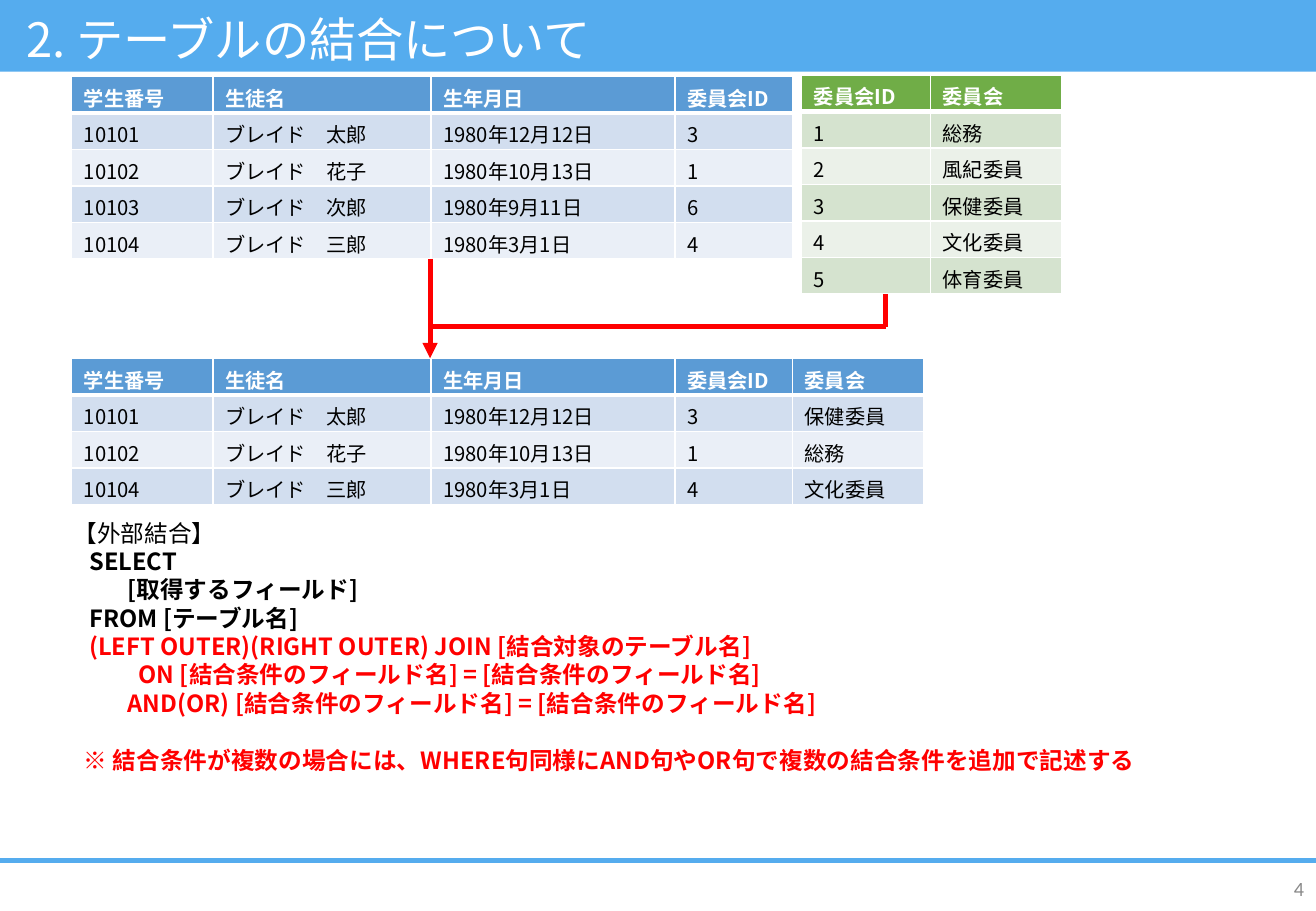
from lxml import etree
from pptx import Presentation
from pptx import util as u
from pptx.dml.color import RGBColor
from pptx.enum import shapes, text
from pptx.oxml.ns import qn

Cm, Pt = u.Cm, u.Pt
JP = "Noto Sans CJK JP"
SKY, RED, BLACK, WHITE = "55ACEE", "FF0000", "000000", "FFFFFF"
BLUE_FILLS = ("5B9BD5", "D2DEEF", "EAEFF7")  # header, odd rows, even rows
GREEN_FILLS = ("70AD47", "D5E3CF", "EBF1E9")
SLIDE_W, SLIDE_H = 27.51, 19.05
ROW_H = 0.76
LINE_PT = 16.8

TITLE = "2. テーブルの結合について"
PAGE = "4"
STUDENT_HEAD = ("学生番号", "生徒名", "生年月日", "委員会ID")
STUDENTS = [
    ("10101", "ブレイド　太郎", "1980年12月12日", "3"),
    ("10102", "ブレイド　花子", "1980年10月13日", "1"),
    ("10103", "ブレイド　次郎", "1980年9月11日", "6"),
    ("10104", "ブレイド　三郎", "1980年3月1日", "4"),
]
COMMITTEE_HEAD = ("委員会ID", "委員会")
COMMITTEES = [("1", "総務"), ("2", "風紀委員"), ("3", "保健委員"),
              ("4", "文化委員"), ("5", "体育委員")]
# text, indent in cm, bold, colour, space before in points
SYNTAX = [
    ("【外部結合】", 0.99, False, BLACK, 0),
    ("SELECT", 1.32, True, BLACK, 0),
    ("[取得するフィールド]", 2.12, True, BLACK, 0),
    ("FROM [テーブル名]", 1.32, True, BLACK, 0),
    ("(LEFT OUTER)(RIGHT OUTER) JOIN [結合対象のテーブル名]", 1.32, True, RED, 0),
    ("ON [結合条件のフィールド名] = [結合条件のフィールド名]", 2.35, True, RED, 0),
    ("AND(OR) [結合条件のフィールド名] = [結合条件のフィールド名]", 2.12, True, RED, 0),
    ("※ 結合条件が複数の場合には、WHERE句同様にAND句やOR句で複数の結合条件を追加で記述する",
     1.2, True, RED, LINE_PT),
]
STUDENT_COLS = (2.95, 4.56, 5.1, 2.46)
COMMITTEE_COLS = (2.69, 2.74)
# x1, y1, x2, y2, arrowhead at the end
JOIN_LINES = [(8.99, 5.41, 8.99, 7.49, True),
              (18.52, 6.15, 18.52, 6.83, False),
              (18.52, 6.83, 8.99, 6.83, False)]


def rgb(value):
    return RGBColor.from_string(value)


def add_run(p, words, size, color, bold=False, font=JP):
    r = p.add_run()
    r.text = words
    r.font.size, r.font.bold, r.font.name = Pt(size), bold, font
    r.font.color.rgb = rgb(color)
    etree.SubElement(r.font._element, qn("a:ea")).set("typeface", font)


def add_box(s, x, y, w, h, anchor=text.MSO_ANCHOR.MIDDLE):
    tf = s.shapes.add_textbox(Cm(x), Cm(y), Cm(w), Cm(h)).text_frame
    tf.word_wrap = True
    tf.vertical_anchor = anchor
    return tf


def add_line(s, x1, y1, x2, y2, color, arrow=False):
    line = s.shapes.add_connector(
        shapes.MSO_CONNECTOR.STRAIGHT, Cm(x1), Cm(y1), Cm(x2), Cm(y2))
    line.line.color.rgb = rgb(color)
    line.line.width = Pt(3)
    if arrow:
        etree.SubElement(line.line._get_or_add_ln(), qn("a:tailEnd")).set("type", "triangle")
    etree.SubElement(line._element.spPr, qn("a:effectLst"))


def set_borders(cell, bottom):
    """White 1 pt borders, with the given width below; they precede the fill."""
    tc_pr = cell._tc.get_or_add_tcPr()
    widths = (("a:lnL", 1), ("a:lnR", 1), ("a:lnT", 1), ("a:lnB", bottom))
    for i, (tag, width) in enumerate(widths):
        ln = etree.Element(qn(tag), w=str(Pt(width)))
        fill = etree.SubElement(ln, qn("a:solidFill"))
        etree.SubElement(fill, qn("a:srgbClr")).set("val", WHITE)
        tc_pr.insert(i, ln)


def add_data_table(s, x, y, cols, rows, fills):
    table = s.shapes.add_table(len(rows), len(cols), Cm(x), Cm(y),
                               Cm(sum(cols)), Cm(ROW_H * len(rows))).table
    for col, width in zip(table.columns, cols):
        col.width = Cm(width)
    for i, row in enumerate(rows):
        header = i == 0
        table.rows[i].height = Cm(ROW_H)
        for j, words in enumerate(row):
            cell = table.cell(i, j)
            cell.fill.solid()
            cell.fill.fore_color.rgb = rgb(fills[0] if header else fills[2 - i % 2])
            set_borders(cell, 3 if header else 1)
            add_run(cell.text_frame.paragraphs[0], words, 12,
                    WHITE if header else BLACK, header)


def main():
    prs = Presentation()
    prs.slide_width, prs.slide_height = Cm(SLIDE_W), Cm(SLIDE_H)
    s = prs.slides.add_slide(prs.slide_layouts[6])

    band = s.shapes.add_shape(shapes.MSO_SHAPE.RECTANGLE, 0, 0, Cm(SLIDE_W), Cm(1.5))
    band.shadow.inherit = False
    band.fill.solid()
    band.fill.fore_color.rgb = rgb(SKY)
    band.line.fill.background()
    add_line(s, 0, 18, SLIDE_W, 18, SKY)

    p = add_box(s, 0.3, 0.18, 27.18, 1.24).paragraphs[0]
    p.line_spacing = Pt(33.6)
    add_run(p, TITLE, 28, WHITE)

    p = add_box(s, 21.31, 18.19, 6.2, 0.76).paragraphs[0]
    p.alignment = text.PP_ALIGN.RIGHT
    add_run(p, PAGE, 12, "898989", font="Calibri")

    committee_names = dict(COMMITTEES)
    joined = [row + (committee_names[row[-1]],)
              for row in STUDENTS if row[-1] in committee_names]
    add_data_table(s, 16.76, 1.57, COMMITTEE_COLS, [COMMITTEE_HEAD] + COMMITTEES, GREEN_FILLS)
    add_data_table(s, 1.5, 1.6, STUDENT_COLS, [STUDENT_HEAD] + STUDENTS, BLUE_FILLS)
    add_data_table(s, 1.5, 7.5, STUDENT_COLS + COMMITTEE_COLS[1:],
                   [STUDENT_HEAD + COMMITTEE_HEAD[1:]] + joined, BLUE_FILLS)

    for x1, y1, x2, y2, arrow in JOIN_LINES:
        add_line(s, x1, y1, x2, y2, RED, arrow)

    tf = add_box(s, 0.3, 10.72, 26.77, 5.64, text.MSO_ANCHOR.TOP)
    for i, (words, indent, bold, color, before) in enumerate(SYNTAX):
        p = tf.add_paragraph() if i else tf.paragraphs[0]
        p.line_spacing = Pt(LINE_PT)
        if before:
            p.space_before = Pt(before)
        p._p.get_or_add_pPr().set("marL", str(Cm(indent)))
        add_run(p, words, 14, color, bold)

    prs.save("out.pptx")


if __name__ == "__main__":
    main()
